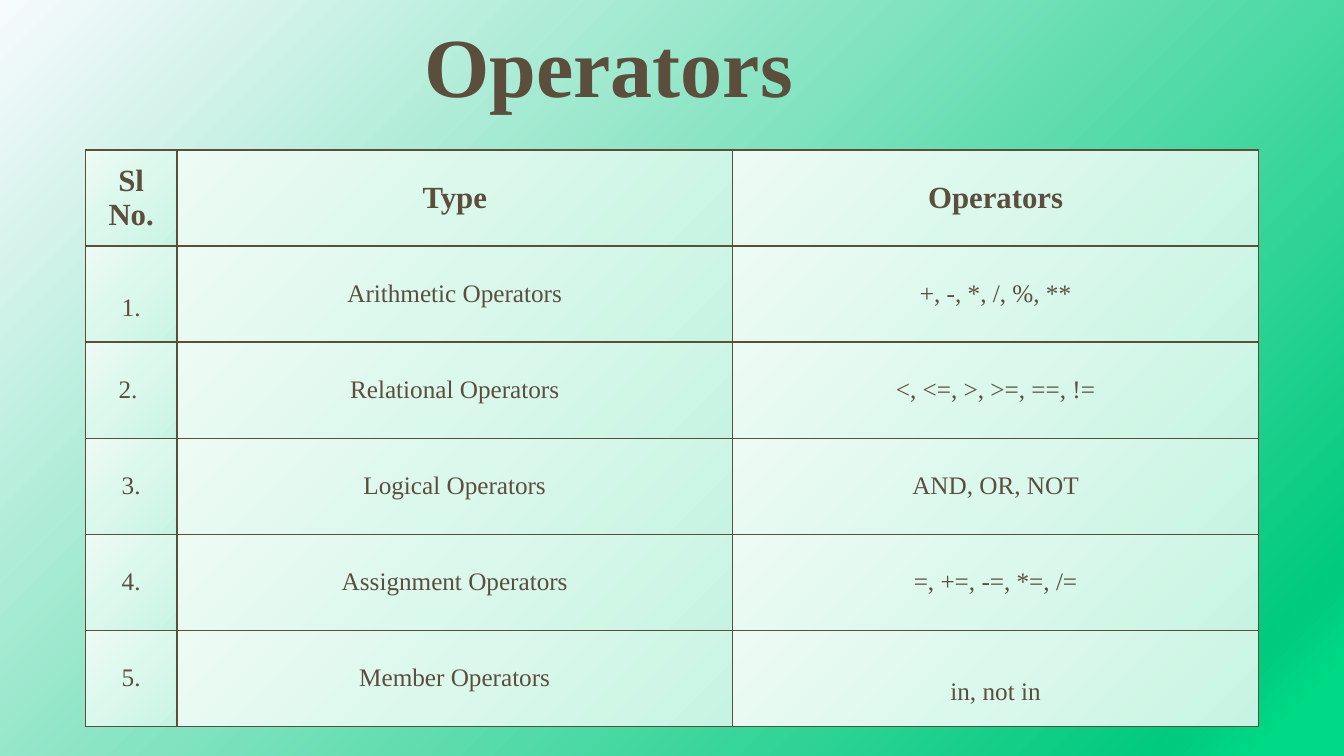
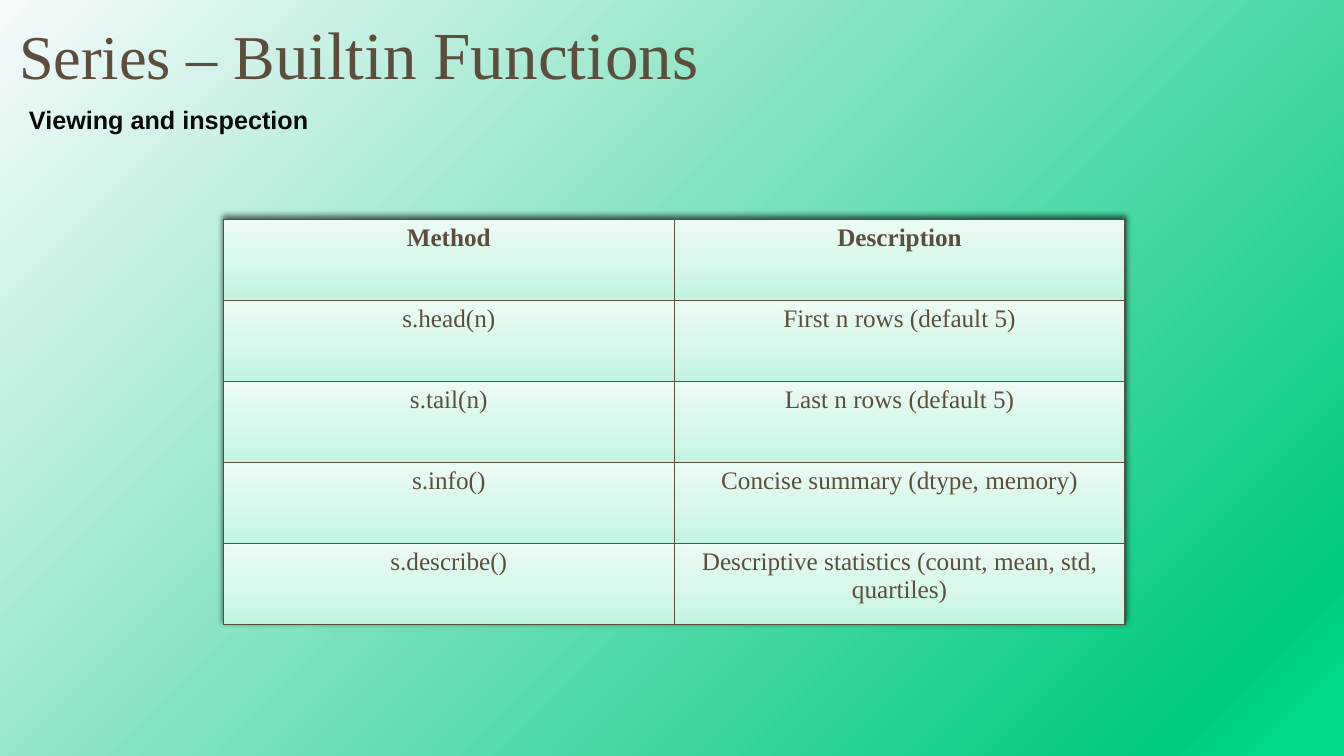
"""Build two slides of Python operator and Series function tables."""
from dataclasses import dataclass

from lxml.etree import SubElement
from pptx import Presentation
from pptx.dml.color import RGBColor
from pptx.enum.text import MSO_ANCHOR, MSO_AUTO_SIZE, PP_ALIGN
from pptx.oxml import parse_xml
from pptx.oxml.ns import nsdecls, qn
from pptx.util import Cm, Pt


@dataclass(frozen=True)
class Theme:
    ink: str = "5C4E3D"
    dark: str = "0A0A0A"
    serif: str = "Times New Roman"
    sans: str = "Arial"
    title: float = 60
    heading: float = 48
    heading_start: float = 44.5
    table_head: float = 22
    body: float = 18
    border: float = 1
    backdrop: tuple = ((0, "F7FAFD"), (91, "00CA7D"), (96, "00D986"), (100, "00D986"))
    diagonal: tuple = ((0, "C7F4E2"), (50, "DBF8EC"), (100, "EDFBF5"))
    vertical: tuple = ((0, "C3F4E1"), (50, "D9F8EB"), (100, "ECFBF5"))


def gradient(stops, angle):
    marks = "".join(
        f'<a:gs pos="{pos * 1000}"><a:srgbClr val="{color}"/></a:gs>'
        for pos, color in stops
    )
    return parse_xml(
        f'<a:gradFill {nsdecls("a")} rotWithShape="1"><a:gsLst>{marks}</a:gsLst>'
        f'<a:lin ang="{angle * 60000}" scaled="0"/></a:gradFill>'
    )


class Deck:
    def __init__(self, theme):
        self.theme = theme
        self.prs = Presentation()
        self.prs.slide_width, self.prs.slide_height = Cm(33.87), Cm(19.05)
        self.s = None
        master = self.prs.slide_master
        master.background.fill.solid()
        solid = next(master.element.iter(qn("a:solidFill")))
        solid.getparent().replace(solid, gradient(theme.backdrop, 45))

    def slide(self):
        self.s = self.prs.slides.add_slide(self.prs.slide_layouts[6])

    def run(self, p, text, size, bold=False, color=None, font=None):
        r = p.add_run()
        r.text = text
        r.font.size = Pt(size)
        r.font.bold = bold
        r.font.name = font or self.theme.serif
        r.font.color.rgb = RGBColor.from_string(color or self.theme.ink)

    def text(self, box, runs, spacing, align=PP_ALIGN.LEFT, anchor=MSO_ANCHOR.TOP,
             wrap=False, inset=True, grow=False):
        tf = self.s.shapes.add_textbox(*map(Cm, box)).text_frame
        tf.word_wrap = wrap
        tf.vertical_anchor = anchor
        tf.auto_size = MSO_AUTO_SIZE.SHAPE_TO_FIT_TEXT if grow else MSO_AUTO_SIZE.NONE
        if not inset:
            tf.margin_left = tf.margin_right = tf.margin_top = tf.margin_bottom = 0
        p = tf.paragraphs[0]
        p.alignment = align
        p.line_spacing = spacing
        for style in runs:
            self.run(p, **style)

    def cell(self, cell, text, size, bold, stops, angle, anchor):
        cell.vertical_anchor = anchor
        p = cell.text_frame.paragraphs[0]
        p.alignment = PP_ALIGN.CENTER
        self.run(p, text, size, bold)
        props = cell._tc.get_or_add_tcPr()
        for side in ("lnL", "lnR", "lnT", "lnB"):
            ln = SubElement(props, qn(f"a:{side}"), w=str(Pt(self.theme.border)))
            fill = SubElement(ln, qn("a:solidFill"))
            SubElement(fill, qn("a:srgbClr"), val=self.theme.ink)
        props.append(gradient(stops, angle))

    def table(self, left, top, widths, row_height, rows, head_size, stops, angle,
              anchor=MSO_ANCHOR.TOP):
        frame = self.s.shapes.add_table(
            len(rows), len(widths), Cm(left), Cm(top),
            Cm(sum(widths)), Cm(row_height * len(rows)))
        table = frame.table
        table.first_row = table.horz_banding = False
        for column, width in zip(table.columns, widths):
            column.width = Cm(width)
        for i, row in enumerate(rows):
            table.rows[i].height = Cm(row_height)
            size = self.theme.body if i else head_size
            for j, text in enumerate(row):
                self.cell(table.cell(i, j), text, size, i == 0, stops, angle, anchor)
        return table

    def shadow(self, table):
        table._tbl.tblPr.insert(0, parse_xml(
            f'<a:effectLst {nsdecls("a")}>'
            f'<a:outerShdw blurRad="{Pt(4)}" dist="{Pt(2)}" dir="16200000" rotWithShape="0">'
            '<a:srgbClr val="000000"><a:alpha val="60000"/></a:srgbClr>'
            '</a:outerShdw></a:effectLst>'))


def operators(deck):
    theme = deck.theme
    deck.slide()
    deck.text((2.64, 0.46, 25.4, 2.57),
              [dict(text="Operators", size=theme.title, bold=True)],
              0.9, PP_ALIGN.CENTER, MSO_ANCHOR.BOTTOM, wrap=True)
    rows = [
        ("Sl No.", "Type", "Operators"),
        ("1.", "Arithmetic Operators", "+, -, *, /, %, **"),
        ("2. ", "Relational Operators", "<, <=, >, >=, ==, !="),
        ("3.", "Logical Operators", "AND, OR, NOT"),
        ("4.", "Assignment Operators", "=, +=, -=, *=, /="),
        ("5.", "Member Operators", "in, not in"),
    ]
    table = deck.table(2.15, 3.78, (2.31, 14, 13.26), 2.42, rows, theme.table_head,
                       theme.diagonal, 225, MSO_ANCHOR.MIDDLE)
    for lowered in (table.cell(1, 0), table.cell(5, 2)):
        lowered.margin_top = Cm(0.84)


def series_functions(deck):
    theme = deck.theme
    deck.slide()
    rows = [
        ("Method", "Description"),
        ("s.head(n)", "First n rows (default 5)"),
        ("s.tail(n)", "Last n rows (default 5)"),
        ("s.info()", "Concise summary (dtype, memory)"),
        ("s.describe()", "Descriptive statistics (count, mean, std, quartiles)"),
    ]
    deck.shadow(deck.table(5.63, 5.53, (11.36, 11.36), 2.04, rows, theme.body,
                           theme.vertical, 270))
    deck.text((0.48, 0.91, 16.69, 1.45),
              [dict(text="Series – B", size=theme.heading_start),
               dict(text="uiltin Functions", size=theme.heading)],
              Pt(40.5), inset=False)
    deck.text((0.48, 2.62, 7.62, 0.89),
              [dict(text="Viewing and inspection", size=theme.body, bold=True,
                    color=theme.dark, font=theme.sans)],
              Pt(18), grow=True)


def main():
    deck = Deck(Theme())
    operators(deck)
    series_functions(deck)
    deck.prs.save("out.pptx")


if __name__ == "__main__":
    main()
